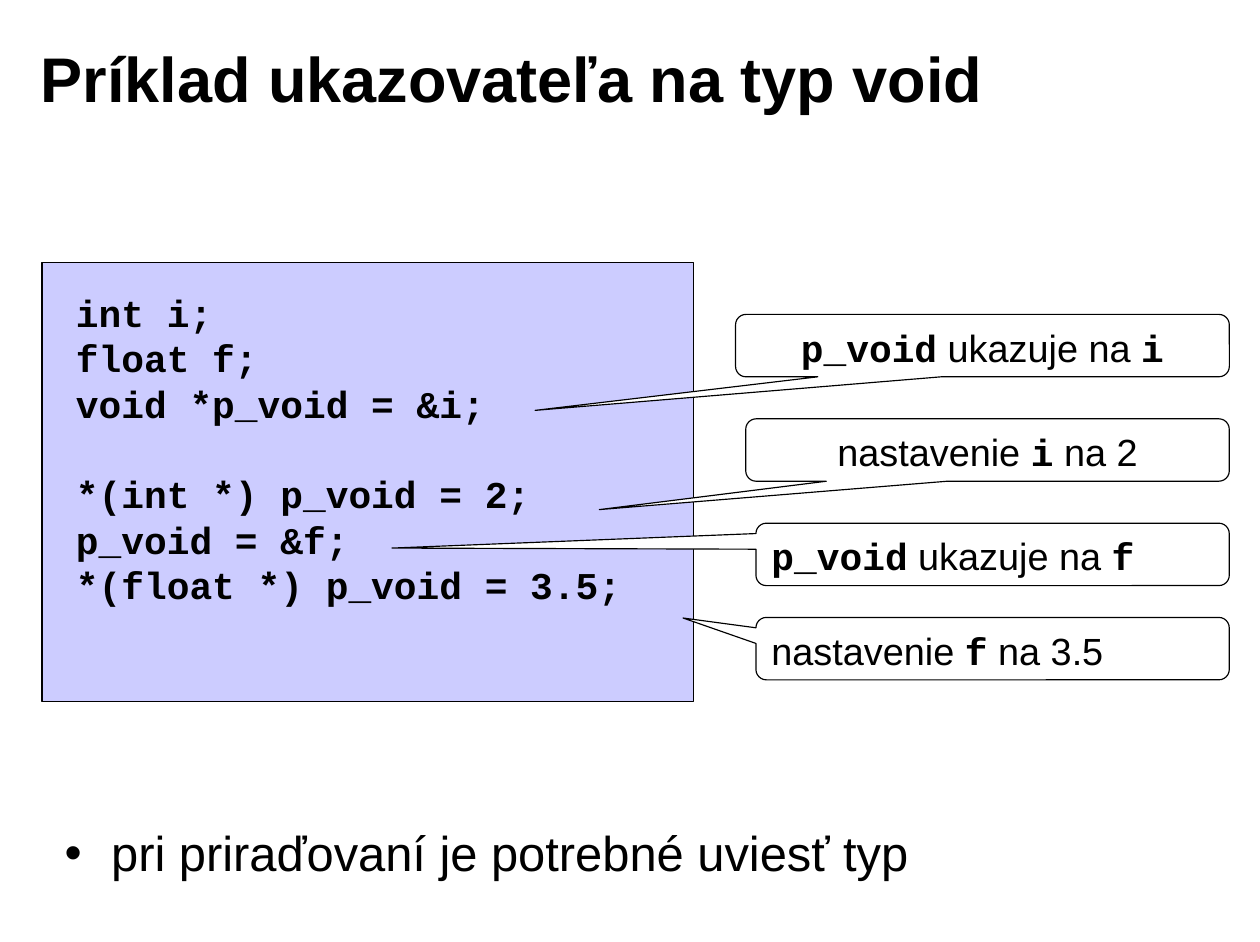
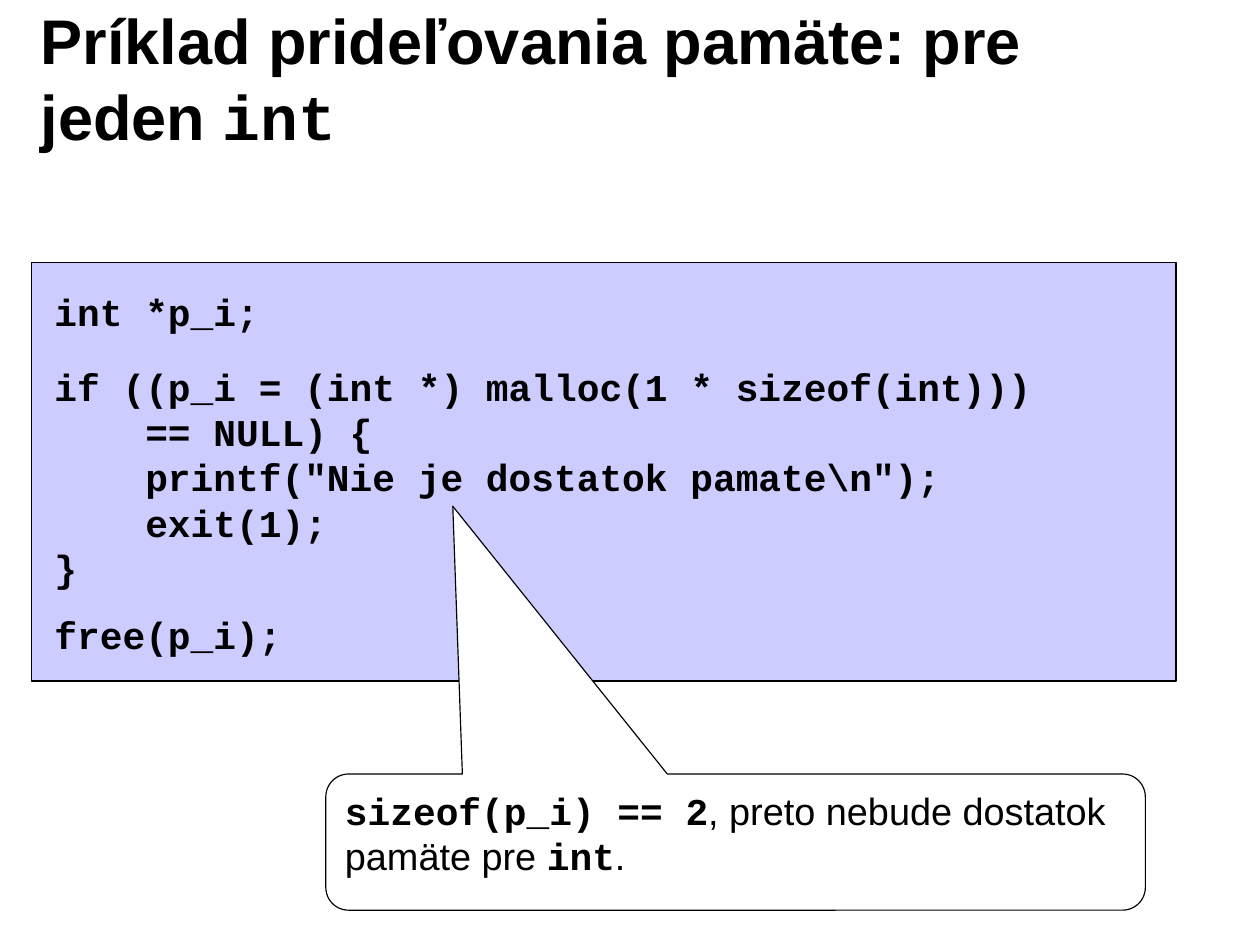
import pptx
import pptx.util
import pptx.dml.color
import pptx.enum.shapes
import pptx.enum.text
import pptx.oxml
import pptx.oxml.ns

Inches = pptx.util.Inches
Pt = pptx.util.Pt
ALIGN = pptx.enum.text.PP_ALIGN
ANCHOR = pptx.enum.text.MSO_ANCHOR
SHAPE = pptx.enum.shapes.MSO_SHAPE

COLORS = {"ink": "000000", "code_panel": "CCCCFF", "callout": "FFFFFF"}
PROSE_FONT = "Arial"
CODE_FONT = "Courier New"
PANEL_TOP = 2.31
CALLOUT_RIGHT = 10.83
CALLOUT_HEIGHT = 0.55
MARGINS = {"margin_left": 0.11, "margin_top": 0.06, "margin_right": 0.11, "margin_bottom": 0.06}


def color(name):
    return pptx.dml.color.RGBColor.from_string(COLORS[name])


def apply_format(target, values):
    for attribute, value in values.items():
        setattr(target, attribute, value)


def fill_solid(area, fill):
    area.fill.solid()
    area.fill.fore_color.rgb = color(fill)


def prepare_frame(frame, anchor=ANCHOR.TOP, wrap=True):
    insets = {side: Inches(size) for side, size in MARGINS.items()}
    apply_format(frame, insets | {"word_wrap": wrap, "vertical_anchor": anchor})
    return frame


def write_paragraph(paragraph, marked_text, size, bold=False, align=ALIGN.LEFT, before=0):
    apply_format(paragraph, {"alignment": align, "space_before": Pt(before)})
    for index, part in enumerate(marked_text.split("`")):
        if part:
            is_code = index % 2 == 1
            run = paragraph.add_run()
            run.text = part
            apply_format(run.font, {
                "name": CODE_FONT if is_code else PROSE_FONT,
                "size": Pt(size),
                "bold": bold or is_code,
            })
            run.font.color.rgb = color("ink")


def add_outlined_shape(slide, preset, box, fill):
    outlined = slide.shapes.add_shape(preset, *map(Inches, box))
    outlined.shadow.inherit = False
    fill_solid(outlined, fill)
    outlined.line.color.rgb = color("ink")
    outlined.line.width = Pt(0.75)
    return outlined


def add_title(slide, marked_text):
    title = slide.shapes.add_textbox(*map(Inches, (0.25, 0.17, 8.91, 1.02)))
    frame = prepare_frame(title.text_frame, ANCHOR.MIDDLE)
    write_paragraph(frame.paragraphs[0], marked_text, 40, bold=True)


def add_code_panel(slide, left, width, height):
    add_outlined_shape(slide, SHAPE.RECTANGLE, (left, PANEL_TOP, width, height), "code_panel")


def add_code(slide, box, code_lines, anchor=ANCHOR.TOP):
    listing = slide.shapes.add_textbox(*map(Inches, box))
    fill_solid(listing, "code_panel")
    frame = prepare_frame(listing.text_frame, anchor)
    for index, (before, code) in enumerate(code_lines):
        paragraph = frame.add_paragraph() if index else frame.paragraphs[0]
        write_paragraph(paragraph, f"`{code}`", 24, before=before)


def add_callout(slide, box, tail, marked_text, align=ALIGN.LEFT):
    callout = add_outlined_shape(slide, SHAPE.ROUNDED_RECTANGULAR_CALLOUT, box, "callout")
    for index, value in enumerate((*tail, 0.167)):
        callout.adjustments[index] = value
    frame = prepare_frame(callout.text_frame)
    write_paragraph(frame.paragraphs[0], marked_text, 24, align=align)


def add_bullet(slide, box, text):
    note = slide.shapes.add_textbox(*map(Inches, box))
    paragraph = prepare_frame(note.text_frame).paragraphs[0]
    properties = paragraph._p.get_or_add_pPr()
    properties.set("marL", str(Inches(0.41)))
    properties.set("indent", str(Inches(-0.41)))
    namespace = pptx.oxml.ns.nsdecls("a")
    for markup in (
        f'<a:buClr {namespace}><a:srgbClr val="{COLORS["ink"]}"/></a:buClr>',
        f'<a:buFont {namespace} typeface="{PROSE_FONT}"/>',
        f'<a:buChar {namespace} char="•"/>',
    ):
        properties.append(pptx.oxml.parse_xml(markup))
    write_paragraph(paragraph, text, 31)


def build_void_pointer_slide(slide):
    add_title(slide, "Príklad ukazovateľa na typ void")
    add_code_panel(slide, 0.37, 5.74, 3.87)
    add_code(slide, (0.56, 2.49, 5.5, 3.31), [
        (0, "int i;"),
        (0, "float f;"),
        (0, "void *p_void = &i;"),
        (28.7, "*(int *) p_void = 2;"),
        (0, "p_void = &f;"),
        (0, "*(float *) p_void = 3.5;"),
    ])
    for left, top, tail, marked_text, align in (
        (6.57, 3.69, (-0.803, 0.955), "nastavenie `i` na 2", ALIGN.CENTER),
        (6.48, 2.77, (-0.906, 1.038), "`p_void` ukazuje na `i`", ALIGN.CENTER),
        (6.66, 4.61, (-1.269, -0.101), "`p_void` ukazuje na `f`", ALIGN.LEFT),
        (6.66, 5.44, (-0.654, -0.49), "nastavenie `f` na 3.5", ALIGN.LEFT),
    ):
        box = (left, top, CALLOUT_RIGHT - left, CALLOUT_HEIGHT)
        add_callout(slide, box, tail, marked_text, align)
    add_bullet(slide, (0.46, 7.19, 9.07, 0.64), "pri priraďovaní je potrebné uviesť typ")


def build_allocation_slide(slide):
    add_title(slide, "Príklad prideľovania pamäte: pre jeden `int`")
    add_code_panel(slide, 0.28, 10.08, 3.69)
    for top, width, height, code_lines in (
        (2.49, 3.3, 0.51, ["int *p_i;"]),
        (3.14, 9.34, 2.12, [
            "if ((p_i = (int *) malloc(1 * sizeof(int)))",
            "    == NULL) {",
            '    printf("Nie je dostatok pamate\\n");',
            "    exit(1);",
            "}",
        ]),
        (5.26, 2.3, 0.65, ["free(p_i);"]),
    ):
        unspaced = [(0, code) for code in code_lines]
        add_code(slide, (0.37, top, width, height), unspaced, ANCHOR.MIDDLE)
    add_callout(slide, (2.87, 6.82, 7.22, 1.2), (-0.345, -2.466),
                "`sizeof(p_i) == 2`, preto nebude dostatok pamäte pre `int`.")


def main():
    presentation = pptx.Presentation()
    presentation.slide_width = Inches(11.1)
    presentation.slide_height = Inches(8.3)
    blank = presentation.slide_layouts[6]
    for build in (build_void_pointer_slide, build_allocation_slide):
        build(presentation.slides.add_slide(blank))
    presentation.save("out.pptx")


if __name__ == "__main__":
    main()
